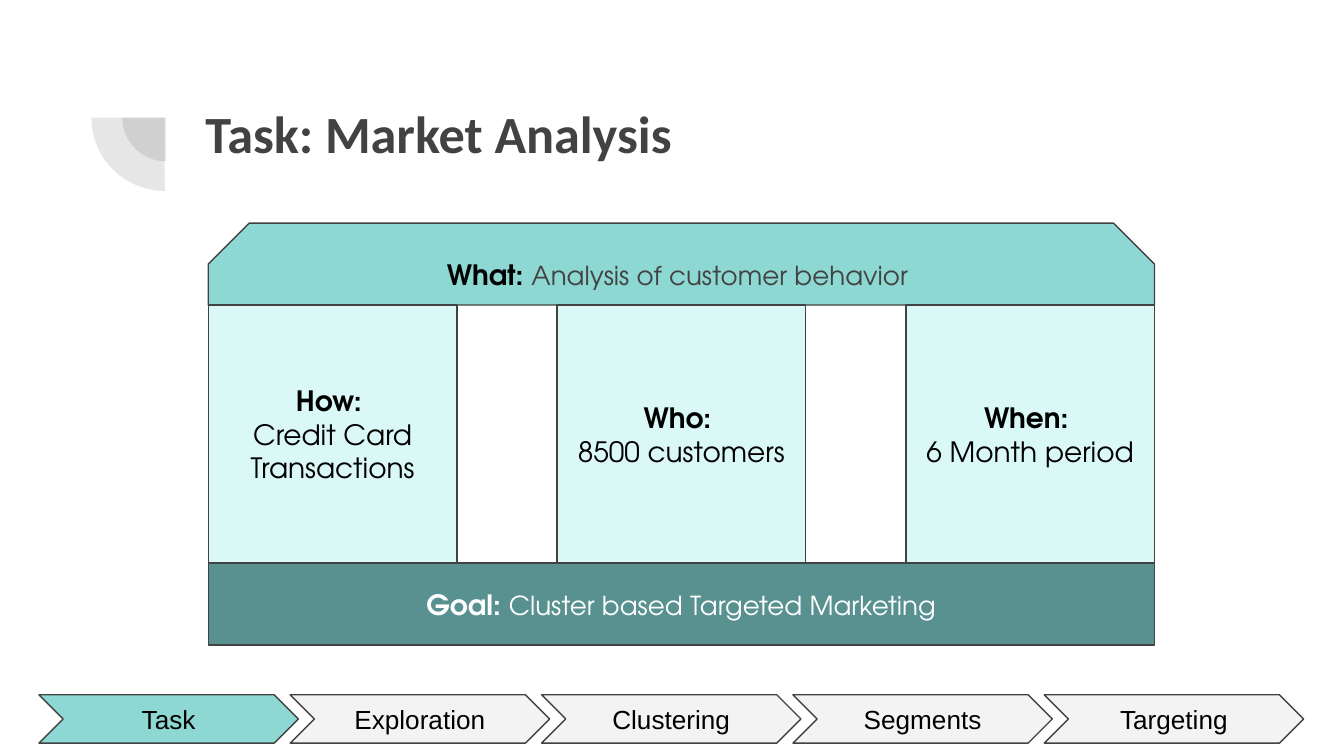
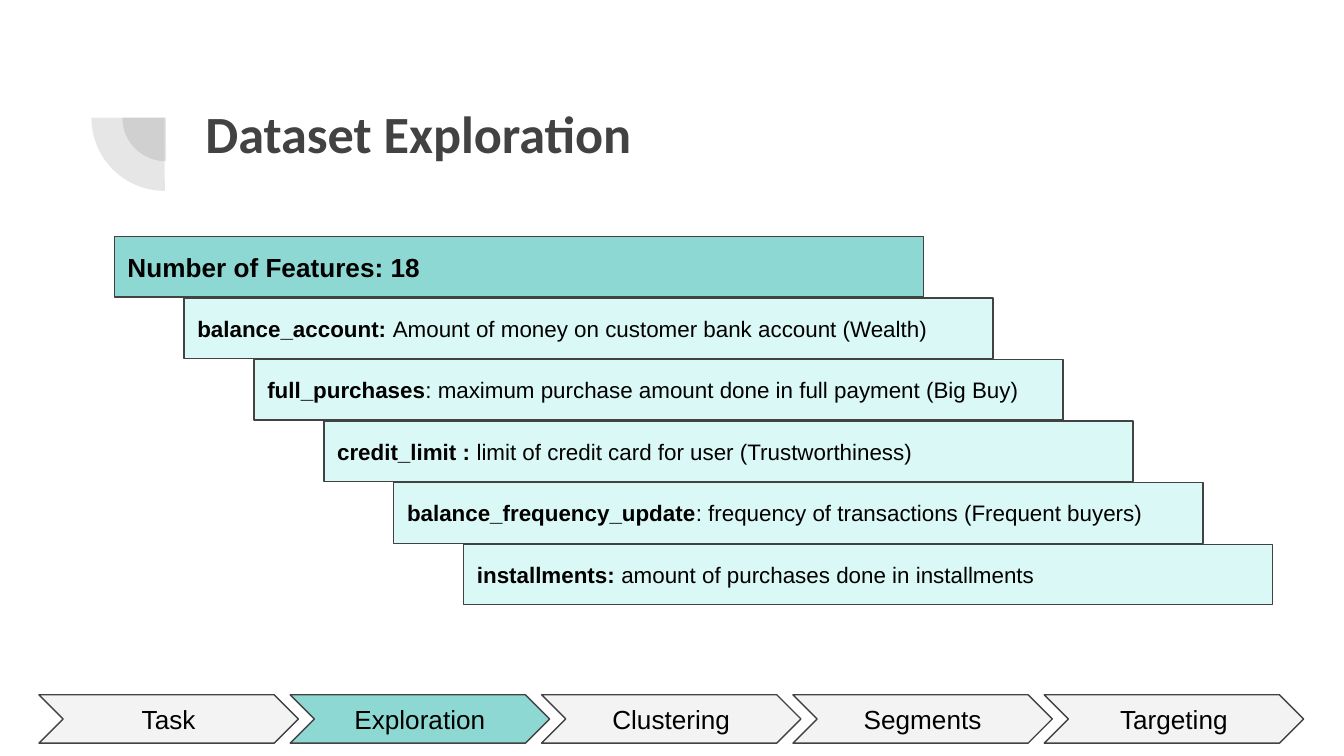
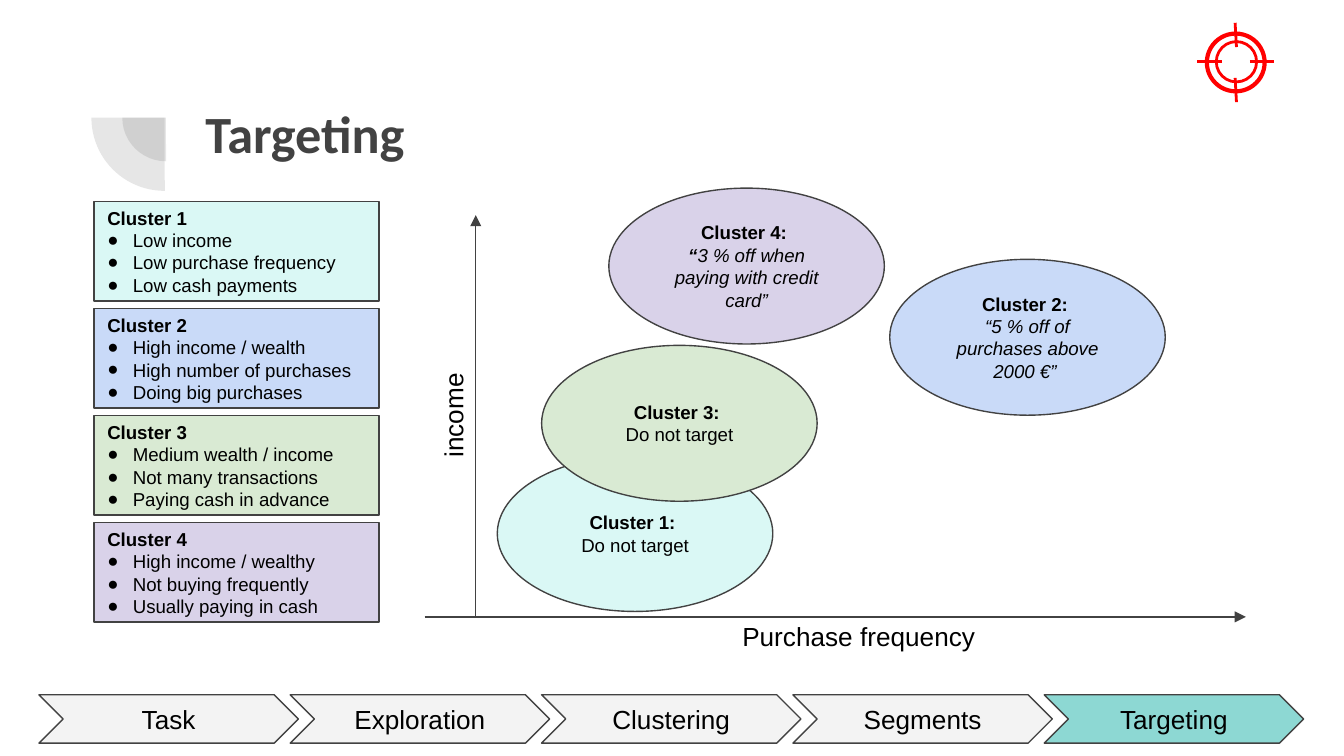
from copy import deepcopy
from dataclasses import dataclass

from lxml.etree import SubElement
from pptx import Presentation
from pptx.dml.color import RGBColor
from pptx.enum.shapes import MSO_CONNECTOR, MSO_SHAPE
from pptx.enum.text import MSO_ANCHOR as Anchor, PP_ALIGN as Align
from pptx.oxml.ns import qn
from pptx.util import Inches, Pt

COLORS = {
    "ink": "424242",
    "arc": "424242",
    "black": "000000",
    "white": "FFFFFF",
    "teal": "8DD8D3",
    "deep_teal": "599191",
    "mint": "ABEFEA",
    "gray": "F3F3F3",
    "blue": "C9DAF8",
    "green": "D9EAD3",
    "violet": "D9D2E9",
    "red": "FF0000",
}
OPACITY = {"mint": 43, "arc": 13}
BODY_FONT = "Arial"
TITLE_FONT = "Calibri"
TEMPLE_FONT = "TeX Gyre Adventor"
STAGES = ["Task", "Exploration", "Clustering", "Segments", "Targeting"]


@dataclass
class Box:
    left: float
    top: float
    width: float
    height: float

    def lengths(self) -> list:
        return [Inches(value) for value in (self.left, self.top, self.width, self.height)]


@dataclass
class Text:
    text: str
    size: float
    bold: bool = False
    italic: bool = False
    color: str = "black"
    font: str = BODY_FONT
    line_break: bool = False


@dataclass
class Cluster:
    name: str
    color: str
    traits: list[str]


@dataclass
class Offer:
    left: float
    top: float
    color: str
    runs: list[Text]


def rgb(name: str) -> RGBColor:
    return RGBColor.from_string(COLORS[name])


def add_runs(paragraph, runs: list[Text], align=Align.LEFT) -> None:
    paragraph.alignment = align
    for item in runs:
        run = paragraph.add_run()
        run.text = item.text
        font = run.font
        font.size, font.name = Pt(item.size), item.font
        font.bold, font.italic = item.bold, item.italic
        font.color.rgb = rgb(item.color)
        if item.line_break:
            paragraph.add_line_break()
            paragraph._p[-1].append(deepcopy(run._r.rPr))


def prepare_frame(shape, anchor=Anchor.MIDDLE):
    frame = shape.text_frame
    frame.word_wrap = True
    frame.vertical_anchor = anchor
    frame.margin_left = frame.margin_right = Inches(0.1)
    frame.margin_top = frame.margin_bottom = Inches(0.1)
    return frame


def add_figure(slide, kind, box: Box, fill: str | None, line: str | None = "ink",
               weight: float = 0.75, runs: list[Text] | None = None, align=Align.CENTER):
    """Add a preset shape; fill or line may be None for no paint."""
    shape = slide.shapes.add_shape(kind, *box.lengths())
    shape.shadow.inherit = False
    if fill:
        shape.fill.solid()
        shape.fill.fore_color.rgb = rgb(fill)
        if fill in OPACITY:
            color = shape._element.spPr.find(qn("a:solidFill"))[0]
            SubElement(color, qn("a:alpha"), val=str(OPACITY[fill] * 1000))
    else:
        shape.fill.background()
    if line:
        shape.line.color.rgb = rgb(line)
        shape.line.width = Pt(weight)
    else:
        shape.line.fill.background()
    frame = prepare_frame(shape)
    if runs:
        add_runs(frame.paragraphs[0], runs, align)
    return shape


def add_label(slide, box: Box, run: Text, align=Align.CENTER, anchor=Anchor.MIDDLE):
    label = slide.shapes.add_textbox(*box.lengths())
    add_runs(prepare_frame(label, anchor).paragraphs[0], [run], align)
    return label


def add_line(slide, start: tuple[float, float], end: tuple[float, float],
             color: str = "ink", weight: float = 0.75, arrow: bool = False) -> None:
    points = [Inches(value) for value in (*start, *end)]
    connector = slide.shapes.add_connector(MSO_CONNECTOR.STRAIGHT, *points)
    connector.line.color.rgb = rgb(color)
    connector.line.width = Pt(weight)
    if arrow:
        SubElement(connector.line._get_or_add_ln(), qn("a:tailEnd"), type="triangle")
    SubElement(connector._element.spPr, qn("a:effectLst"))


def add_bullet(frame, run: Text) -> None:
    paragraph = frame.add_paragraph()
    add_runs(paragraph, [run])
    properties = paragraph._p.get_or_add_pPr()
    indent = Inches(0.19)
    properties.set("marL", str(indent))
    properties.set("indent", str(-indent))
    bullet_color = SubElement(properties, qn("a:buClr"))
    SubElement(bullet_color, qn("a:srgbClr"), val=COLORS["black"])
    SubElement(properties, qn("a:buSzPts"), val=str(run.size * 100))
    SubElement(properties, qn("a:buFont"), typeface=run.font)
    SubElement(properties, qn("a:buChar"), char="●")


def add_base_slide(presentation, title: str, stage: str):
    """Add a slide with the corner arcs, the title and the stage bar."""
    slide = presentation.slides.add_slide(presentation.slide_layouts[6])
    for box in (Box(0.91, 0.55, 0.65, 0.65), Box(0.68, 0.33, 1.09, 1.09)):
        arc = add_figure(slide, MSO_SHAPE.PIE, box, "arc", line=None)
        arc.adjustments[0], arc.adjustments[1] = 107.93, 162
        arc.rotation = 270
    add_label(slide, Box(1.43, 0.65, 7.69, 1.09),
              Text(title, 28, bold=True, color="ink", font=TITLE_FONT), Align.LEFT, Anchor.TOP)
    for index, name in enumerate(STAGES):
        add_figure(slide, MSO_SHAPE.CHEVRON, Box(0.29 + index * 1.87, 5.17, 1.93, 0.36),
                   "teal" if name == stage else "gray", runs=[Text(name, 14)])
    return slide


def temple_text(heading: str, body: str, body_size: float, color: str = "black",
                body_color: str = "black", line_break: bool = False) -> list[Text]:
    return [Text(heading, 15, bold=True, color=color, font=TEMPLE_FONT, line_break=line_break),
            Text(body, body_size, color=body_color, font=TEMPLE_FONT)]


def build_task(presentation) -> None:
    slide = add_base_slide(presentation, "Task: Market Analysis", "Task")
    left, width = 1.55, 7.04
    roof = add_figure(slide, MSO_SHAPE.SNIP_2_SAME_RECTANGLE, Box(left, 1.66, width, 0.61), "teal",
                      runs=temple_text("What: ", "Analysis of customer behavior ", 14,
                                       body_color="ink"))
    roof.adjustments[0], roof.adjustments[1] = 0.5, 0
    pillars = [("How: ", "Credit Card Transactions"), ("Who: ", "8500 customers"),
               ("When: ", "6 Month period")]
    pillar_width = 1.85
    pitch = (width - pillar_width) / (len(pillars) - 1)
    for index, (heading, body) in enumerate(pillars):
        add_figure(slide, MSO_SHAPE.RECTANGLE,
                   Box(left + index * pitch, 2.27, pillar_width, 1.92), "mint",
                   runs=temple_text(heading, body, 15, line_break=True))
    add_figure(slide, MSO_SHAPE.RECTANGLE, Box(left, 4.19, width, 0.61), "deep_teal",
               runs=temple_text("Goal: ", "Cluster based Targeted Marketing", 14,
                                "white", "white"))


def build_exploration(presentation) -> None:
    slide = add_base_slide(presentation, "Dataset Exploration", "Exploration")
    features = [
        ("balance_account: ", "Amount of money on customer bank account (Wealth)"),
        ("full_purchases", ": maximum purchase amount done in full payment (Big Buy)"),
        ("credit_limit : ", "limit of credit card for user (Trustworthiness)"),
        ("balance_frequency_update", ": frequency of transactions (Frequent buyers)"),
        ("installments: ", "amount of purchases done in installments"),
    ]
    steps = [("teal", [Text("Number of Features: 18", 14, bold=True)])]
    steps += [("mint", [Text(name, 12, bold=True), Text(meaning, 12)])
              for name, meaning in features]
    drop = (4.05 - 1.76) / len(features)
    for index, (color, runs) in enumerate(steps):
        add_figure(slide, MSO_SHAPE.RECTANGLE,
                   Box(0.85 + index * 0.52, 1.76 + index * drop, 6.02, 0.45),
                   color, runs=runs, align=Align.LEFT)


def add_crosshair(slide) -> None:
    for box, weight in ((Box(8.98, 0.25, 0.43, 0.43), 2.25), (Box(9.05, 0.31, 0.3, 0.3), 1.5)):
        add_figure(slide, MSO_SHAPE.OVAL, box, None, "red", weight)
    for start, end in (((8.91, 0.46), (9.09, 0.46)), ((9.3, 0.46), (9.48, 0.46)),
                       ((9.19, 0.58), (9.2, 0.76)), ((9.19, 0.17), (9.2, 0.35))):
        add_line(slide, start, end, "red", 1.5)


def build_targeting(presentation) -> None:
    slide = add_base_slide(presentation, "Targeting", "Targeting")
    clusters = [
        Cluster("Cluster 1", "mint",
                ["Low income", "Low purchase frequency", "Low cash payments"]),
        Cluster("Cluster 2", "blue",
                ["High income / wealth", "High number of purchases", "Doing big purchases"]),
        Cluster("Cluster 3", "green",
                ["Medium wealth / income", "Not many transactions", "Paying cash in advance"]),
        Cluster("Cluster 4", "violet",
                ["High income / wealthy", "Not buying frequently", "Usually paying in cash"]),
    ]
    pitch = (3.89 - 1.5) / (len(clusters) - 1)
    for index, cluster in enumerate(clusters):
        card = add_figure(slide, MSO_SHAPE.RECTANGLE, Box(0.7, 1.5 + index * pitch, 2.12, 0.74),
                          cluster.color, runs=[Text(cluster.name, 10, bold=True)],
                          align=Align.LEFT)
        for trait in cluster.traits:
            add_bullet(card.text_frame, Text(trait, 10))

    add_line(slide, (3.16, 4.59), (9.27, 4.59), arrow=True)
    add_line(slide, (3.54, 4.58), (3.54, 1.6), arrow=True)
    income = add_label(slide, Box(2.53, 2.91, 1.68, 0.36), Text("income", 14))
    income.rotation = 270
    add_label(slide, Box(5.28, 4.55, 2.22, 0.36), Text("Purchase frequency", 14))

    offers = [
        Offer(3.7, 3.39, "mint", [Text("Cluster 1: ", 10, bold=True, line_break=True),
                                  Text("Do not target", 10)]),
        Offer(4.03, 2.57, "green", [Text("Cluster 3: ", 10, bold=True, line_break=True),
                                    Text("Do not target", 10)]),
        Offer(6.62, 1.93, "blue", [Text("Cluster 2: ", 10, bold=True, line_break=True),
                                   Text("“5 % off of purchases above 2000 €” ", 10, italic=True)]),
        Offer(4.53, 1.4, "violet", [Text("Cluster 4: ", 10, bold=True, line_break=True),
                                    Text("“", 10, bold=True, italic=True),
                                    Text("3 % off when paying with credit card”", 10,
                                         italic=True)]),
    ]
    for offer in offers:
        add_figure(slide, MSO_SHAPE.OVAL, Box(offer.left, offer.top, 2.05, 1.16),
                   offer.color, runs=offer.runs)
    add_crosshair(slide)


def main() -> None:
    presentation = Presentation()
    presentation.slide_width = Inches(10)
    presentation.slide_height = Inches(10) * 9 // 16
    build_task(presentation)
    build_exploration(presentation)
    build_targeting(presentation)
    presentation.save("out.pptx")


if __name__ == "__main__":
    main()
